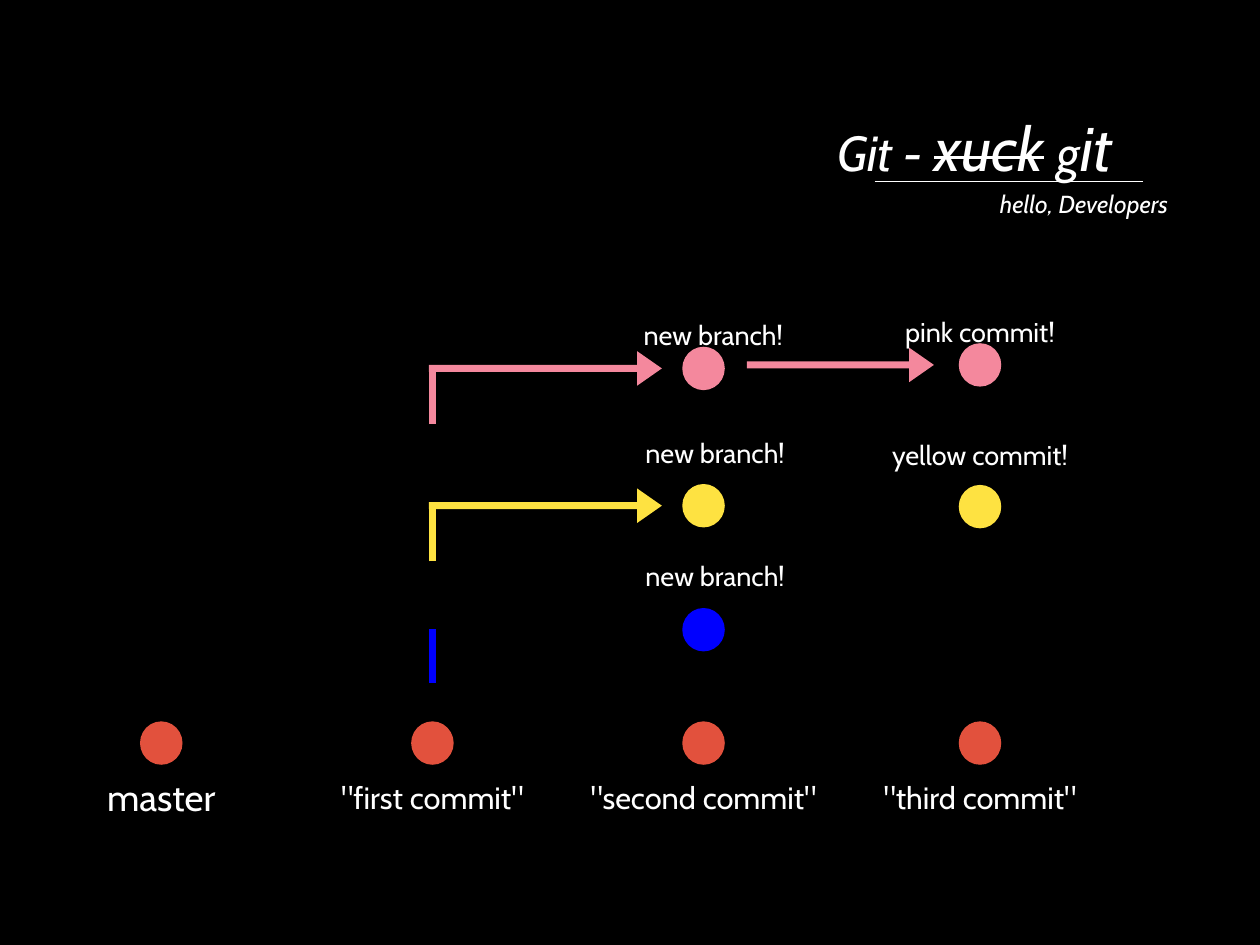
from dataclasses import dataclass

from lxml.etree import SubElement
from pptx import Presentation
from pptx.dml.color import RGBColor
from pptx.enum.shapes import MSO_CONNECTOR, MSO_SHAPE
from pptx.enum.text import MSO_ANCHOR, MSO_AUTO_SIZE, PP_ALIGN
from pptx.oxml.ns import qn
from pptx.util import Inches, Pt


@dataclass(frozen=True)
class Theme:
    font: str = "Cabin"
    background: str = "000000"
    text: str = "FFFFFF"
    red: str = "E2513D"
    pink: str = "F4889D"
    yellow: str = "FEE241"
    blue: str = "0000FF"
    title_size: int = 40
    title_large: int = 50
    subtitle_size: int = 20
    master_size: int = 30
    commit_size: int = 25
    branch_size: int = 22


theme = Theme()

# Grid in inches: column centres and the centre of each branch row
COLUMNS = [1.82, 4.88, 7.94, 11.06]
PINK_ROW, YELLOW_ROW, BLUE_ROW, MASTER_ROW = 4.16, 5.71, 7.11, 8.39
LABEL_ROW = 9.0
DOT_WIDTH, DOT_HEIGHT = 0.48, 0.49
ARROW_HEIGHT, BAR_WEIGHT = 0.39, 5.5
INSET = 0.06

deck = Presentation()
deck.slide_width, deck.slide_height = Inches(14.22), Inches(10.67)
page = deck.slides.add_slide(deck.slide_layouts[0])
page.background.fill.solid()
page.background.fill.fore_color.rgb = RGBColor.from_string(theme.background)


def add_flat_shape(kind, left, middle, width, height, color):
    shape = page.shapes.add_shape(
        kind, Inches(left), Inches(middle - height / 2), Inches(width), Inches(height))
    shape.shadow.inherit = False
    shape.fill.solid()
    shape.fill.fore_color.rgb = RGBColor.from_string(color)
    shape.line.fill.background()
    return shape


def write_text(box, spans, italic=False):
    """Fill a box with one centred line; spans are (text, size, struck)."""
    frame = box.text_frame
    frame.word_wrap = False
    frame.auto_size = MSO_AUTO_SIZE.SHAPE_TO_FIT_TEXT
    frame.vertical_anchor = MSO_ANCHOR.MIDDLE
    frame.margin_left = frame.margin_right = Inches(INSET)
    frame.margin_top = frame.margin_bottom = Inches(INSET)
    para = frame.paragraphs[0]
    para.alignment = PP_ALIGN.CENTER
    para.space_before = Pt(0)
    for text, size, struck in spans:
        span = para.add_run()
        span.text = text
        span.font.name = theme.font
        span.font.size = Pt(size)
        span.font.italic = italic
        span.font.color.rgb = RGBColor.from_string(theme.text)
        if struck:
            span.font._element.set("strike", "sngStrike")


# Title and subtitle
title, subtitle = page.shapes.title, page.placeholders[1]
title.left, title.top = Inches(9.31), Inches(1.25)
title.width, title.height = Inches(3.38), Inches(0.82)
write_text(title, [
    ("Git - ", theme.title_size, False),
    ("xuck", theme.title_large, True),
    (" ", theme.title_large, False),
    ("g", theme.title_size, False),
    ("it", theme.title_large, False),
], italic=True)
subtitle.left, subtitle.top = Inches(11.18), Inches(2.1)
subtitle.width, subtitle.height = Inches(2.11), Inches(0.39)
write_text(subtitle, [("hello, Developers", theme.subtitle_size, False)], italic=True)

# Branch arrows: left, right, row, colour
arrows = [
    (4.84, 7.47, YELLOW_ROW, theme.yellow),
    (4.84, 7.47, PINK_ROW, theme.pink),
    (8.43, 10.54, PINK_ROW - 0.04, theme.pink),
]
for left, right, row, color in arrows:
    arrow = add_flat_shape(
        MSO_SHAPE.RIGHT_ARROW, left, row, right - left, ARROW_HEIGHT, color)
    arrow.adjustments[0], arrow.adjustments[1] = 0.203, 0.716

# Title rule and branch stems: from x, from y, to x, to y, colour, weight
stem = COLUMNS[1]
lines = [(9.87, 2.05, 12.9, 2.05, theme.text, 1.5)]
for row, color in [(PINK_ROW, theme.pink), (YELLOW_ROW, theme.yellow),
                   (BLUE_ROW - 0.03, theme.blue)]:
    lines.append((stem, row + 0.63, stem, row + 0.02, color, BAR_WEIGHT))
for from_x, from_y, to_x, to_y, color, weight in lines:
    line = page.shapes.add_connector(
        MSO_CONNECTOR.STRAIGHT,
        Inches(from_x), Inches(from_y), Inches(to_x), Inches(to_y))
    line.line.color.rgb = RGBColor.from_string(color)
    line.line.width = Pt(weight)
    SubElement(line._element.spPr, qn("a:effectLst"))

# Commits: column, dot row, colour, label, label centre x and y, width, height, size
branch_x = COLUMNS[2] + 0.13
commits = [
    (0, MASTER_ROW, theme.red, "master",
     COLUMNS[0], LABEL_ROW, 1.41, 0.54, theme.master_size),
    (1, MASTER_ROW, theme.red, '"first commit"',
     COLUMNS[1], LABEL_ROW, 2.27, 0.46, theme.commit_size),
    (2, MASTER_ROW, theme.red, '"second commit"',
     COLUMNS[2], LABEL_ROW, 2.74, 0.46, theme.commit_size),
    (3, MASTER_ROW, theme.red, '"third commit"',
     COLUMNS[3], LABEL_ROW, 2.41, 0.46, theme.commit_size),
    (2, BLUE_ROW, theme.blue, "new branch!",
     branch_x, 6.5, 1.79, 0.43, theme.branch_size),
    (2, YELLOW_ROW, theme.yellow, "new branch!",
     branch_x, 5.11, 1.79, 0.43, theme.branch_size),
    (2, PINK_ROW, theme.pink, "new branch!",
     branch_x - 0.02, 3.78, 1.79, 0.43, theme.branch_size),
    (3, YELLOW_ROW + 0.01, theme.yellow, "yellow commit!",
     COLUMNS[3], 5.13, 2.19, 0.43, theme.branch_size),
    (3, PINK_ROW - 0.04, theme.pink, "pink commit!",
     COLUMNS[3], 3.75, 1.91, 0.42, theme.branch_size),
]
for column, row, color, label, center, middle, width, height, size in commits:
    add_flat_shape(MSO_SHAPE.OVAL, COLUMNS[column] - DOT_WIDTH / 2, row,
                   DOT_WIDTH, DOT_HEIGHT, color)
    box = page.shapes.add_textbox(
        Inches(center - width / 2), Inches(middle - height / 2),
        Inches(width), Inches(height))
    write_text(box, [(label, size, False)])

deck.save("out.pptx")
